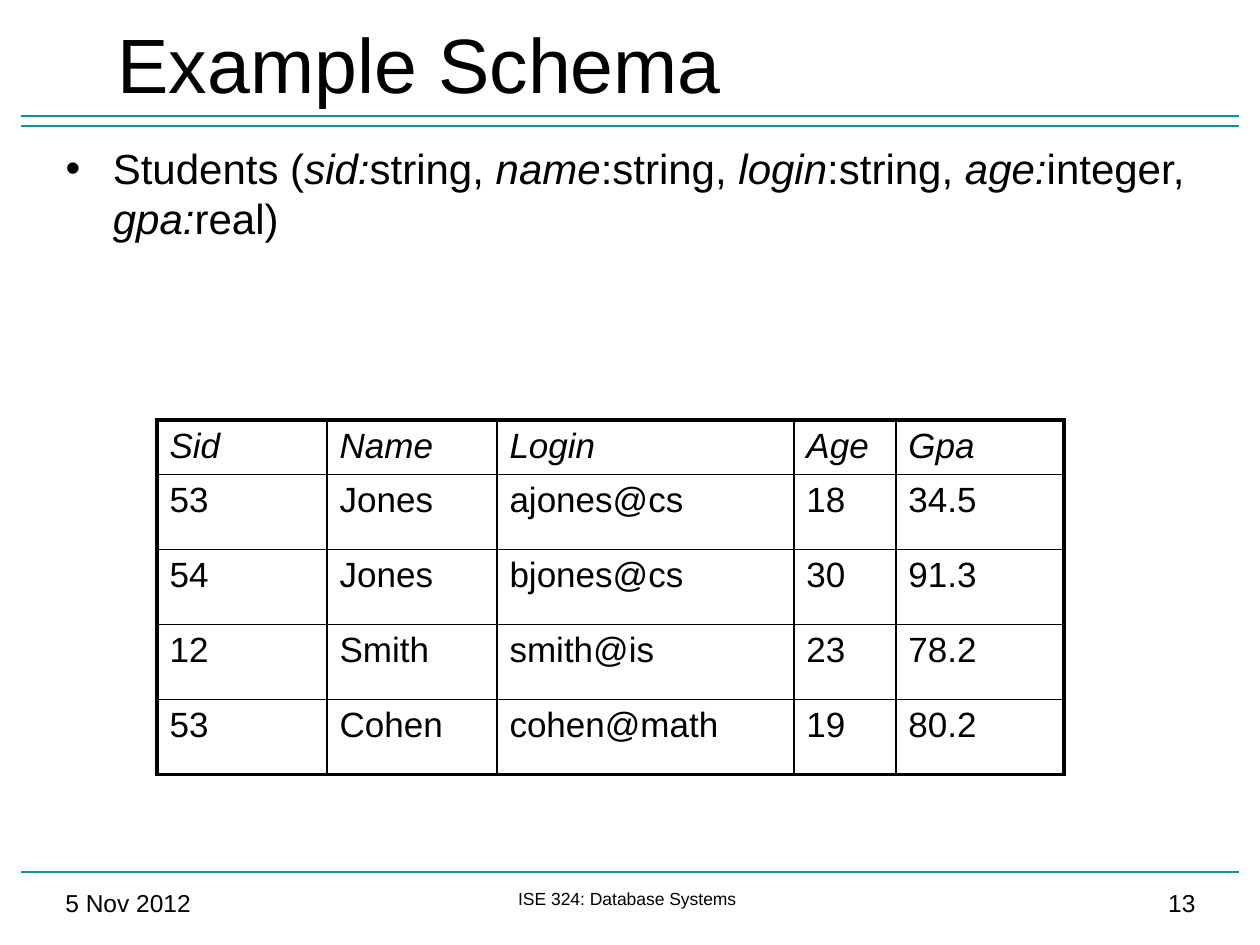
"""Build the example schema slide with its student table."""
import dataclasses

import pptx
import pptx.dml.color
import pptx.enum.shapes
import pptx.enum.text
import pptx.oxml
import pptx.oxml.ns
import pptx.util

BLACK = pptx.dml.color.RGBColor(0, 0, 0)
TEAL = pptx.dml.color.RGBColor(0, 0x99, 0x99)
FONT = "Arial"
SCALE = 914400 / 126
ALIGN = pptx.enum.text.PP_ALIGN


@dataclasses.dataclass
class Box:
    left: int
    top: int
    width: int
    height: int


@dataclasses.dataclass
class Note:
    text: str
    box: Box
    size: int
    align: ALIGN


RULES = [872, 116, 126]
NOTES = [
    Note("5 Nov 2012", Box(53, 882, 305, 42), 14, ALIGN.LEFT),
    Note("ISE 324: Database Systems ", Box(388, 882, 483, 42), 10, ALIGN.CENTER),
    Note("13", Box(903, 882, 305, 42), 14, ALIGN.RIGHT),
]
FIELDS = [
    ("Students (", False), ("sid:", True), ("string, ", False),
    ("name", True), (":string, ", False), ("login", True),
    (":string, ", False), ("age:", True), ("integer, ", False),
    ("gpa:", True), ("real)", False),
]
ROWS = [
    ("Sid", "Name", "Login", "Age", "Gpa"),
    ("53", "Jones", "ajones@cs", "18", "34.5"),
    ("54", "Jones", "bjones@cs", "30", "91.3"),
    ("12", "Smith", "smith@is", "23", "78.2"),
    ("53", "Cohen", "cohen@math", "19", "80.2"),
]
WIDTHS = [170, 170, 297, 102, 168]
HEIGHTS = [54, 75, 75, 75, 75]
GRID = Box(157, 420, sum(WIDTHS), sum(HEIGHTS))


def emu(px: int) -> int:
    """Turn px into EMU."""
    return round(px * SCALE)


def span(box: Box) -> list[int]:
    """Give the four lengths of a box in EMU."""
    return [emu(px) for px in dataclasses.astuple(box)]


def place(shape, box: Box) -> None:
    """Move a shape to a box."""
    shape.left, shape.top, shape.width, shape.height = span(box)


def style(part, size: int, slant: bool = False) -> None:
    """Format each run of a paragraph."""
    for run in part.runs:
        run.font.name = FONT
        run.font.size = pptx.util.Pt(size)
        run.font.italic = slant
        run.font.color.rgb = BLACK


def rule(slide, top: int) -> None:
    """Draw a teal line across the slide."""
    kind = pptx.enum.shapes.MSO_CONNECTOR.STRAIGHT
    line = slide.shapes.add_connector(kind, emu(21), emu(top), emu(1239), emu(top))
    line.line.color.rgb = TEAL
    line.line.width = pptx.util.Pt(1.5)
    prop = line._element.spPr
    prop.append(prop.makeelement(pptx.oxml.ns.qn("a:effectLst"), {}))


def write(slide, note: Note) -> None:
    """Add a footer text."""
    frame = slide.shapes.add_textbox(*span(note.box)).text_frame
    frame.word_wrap = True
    frame.text = note.text
    part = frame.paragraphs[0]
    part.alignment = note.align
    style(part, note.size)


def head(slide) -> None:
    """Fill the title."""
    title = slide.shapes.title
    place(title, Box(105, 0, 1103, 126))
    frame = title.text_frame
    frame.text = "Example Schema"
    frame.auto_size = pptx.enum.text.MSO_AUTO_SIZE.NONE
    frame.vertical_anchor = pptx.enum.text.MSO_ANCHOR.MIDDLE
    frame.paragraphs[0].alignment = ALIGN.LEFT
    style(frame.paragraphs[0], 44)


def body(slide) -> None:
    """Fill the list with the schema."""
    hold = slide.placeholders[1]
    place(hold, Box(53, 136, 1155, 725))
    frame = hold.text_frame
    frame.auto_size = pptx.enum.text.MSO_AUTO_SIZE.NONE
    part = frame.paragraphs[0]
    for text, _ in FIELDS:
        part.add_run().text = text
    style(part, 24)
    for run, (_, slant) in zip(part.runs, FIELDS):
        run.font.italic = slant


def edge(cell, side: str, width: float) -> None:
    """Draw one border of a cell."""
    space = pptx.oxml.ns.nsdecls("a")
    cell._tc.get_or_add_tcPr().append(pptx.oxml.parse_xml(
        f'<a:ln{side} {space} w="{pptx.util.Pt(width)}"><a:solidFill>'
        f'<a:srgbClr val="{BLACK}"/></a:solidFill></a:ln{side}>'))


def grid(slide) -> None:
    """Add the student table."""
    table = slide.shapes.add_table(len(ROWS), len(WIDTHS), *span(GRID)).table
    table.first_row = table.horz_banding = False
    for col, width in zip(table.columns, WIDTHS):
        col.width = emu(width)
    for row, height in zip(table.rows, HEIGHTS):
        row.height = emu(height)
    for y, row in enumerate(ROWS):
        for x, text in enumerate(row):
            cell = table.cell(y, x)
            cell.text_frame.text = text
            style(cell.text_frame.paragraphs[0], 20, y == 0)
            outer = {"L": x == 0, "R": x == len(row) - 1,
                     "T": y == 0, "B": y == len(ROWS) - 1}
            for side, thick in outer.items():
                edge(cell, side, 2.25 if thick else 1)
            cell.fill.background()


def main() -> None:
    """Build and save the slide."""
    deck = pptx.Presentation()
    deck.slide_width, deck.slide_height = emu(1260), emu(945)
    slide = deck.slides.add_slide(deck.slide_layouts[1])
    for top in RULES:
        rule(slide, top)
    for note in NOTES:
        write(slide, note)
    head(slide)
    body(slide)
    grid(slide)
    deck.save("out.pptx")


if __name__ == "__main__":
    main()
